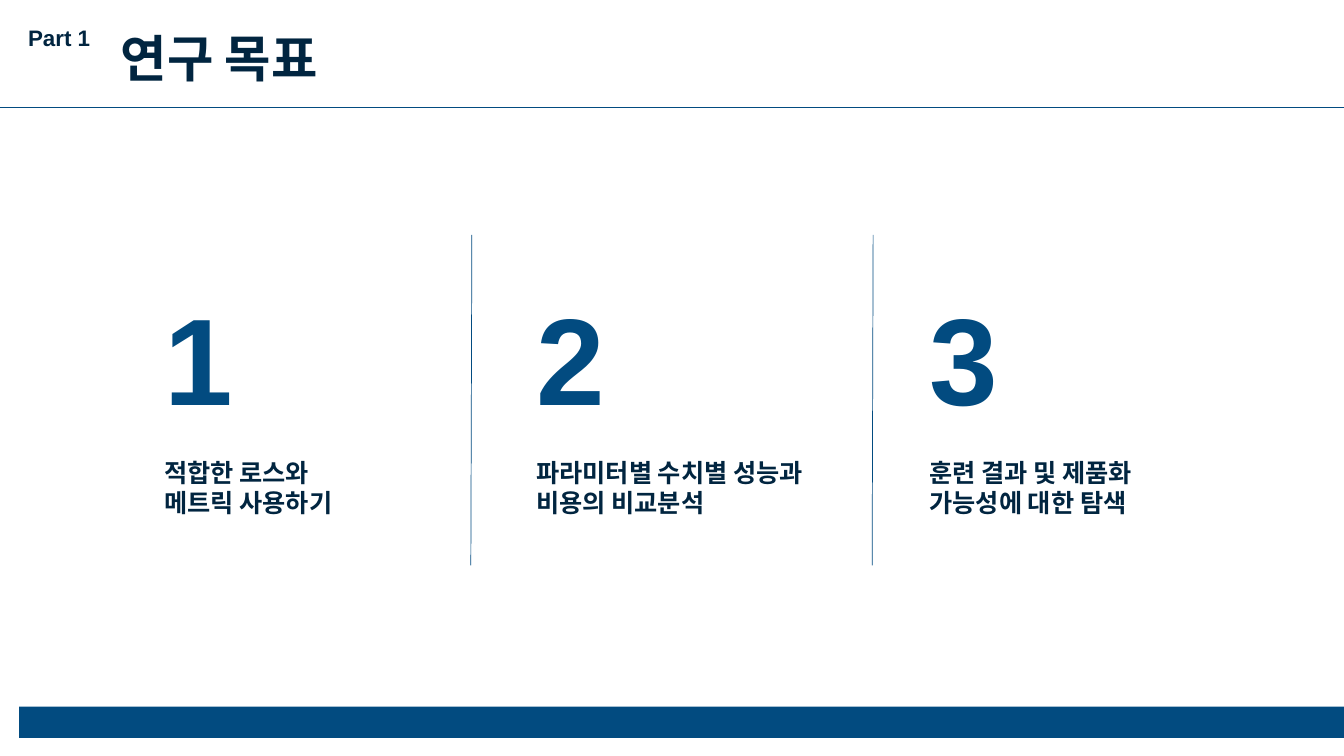
from dataclasses import dataclass

import lxml.etree
import pptx
import pptx.dml.color
import pptx.enum.shapes
import pptx.oxml.ns
import pptx.slide
import pptx.text.text
import pptx.util

Inches = pptx.util.Inches
Pt = pptx.util.Pt


@dataclass(frozen=True)
class Theme:
    blue: str = "024B80"
    navy: str = "012540"
    latin_font: str = "Arial"
    korean_font: str = "Noto Sans CJK KR"
    label_size: float = 16
    title_size: float = 36
    number_size: float = 88
    goal_size: float = 18
    line_width: float = 0.5


@dataclass(frozen=True)
class Goal:
    left: float
    width: float
    lines: tuple[str, ...]


THEME = Theme()
SLIDE_WIDTH = 13.33
GOAL_TOP, GOAL_HEIGHT = 2.63, 2.49
DIVIDER_TOP, DIVIDER_BOTTOM = 2.33, 5.61
DIVIDERS = (4.67, 8.65)
GOALS = (
    Goal(1.53, 2.89, ("적합한 로스와", "메트릭 사용하기")),
    Goal(5.22, 3.19, ("파라미터별 수치별 성능과", "비용의 비교분석")),
    Goal(9.12, 2.75, ("훈련 결과 및 제품화", "가능성에 대한 탐색")),
)


def add_text_frame(slide: pptx.slide.Slide, left: float, top: float, width: float,
                   height: float, top_margin: float = 0.05) -> pptx.text.text.TextFrame:
    box = slide.shapes.add_textbox(Inches(left), Inches(top), Inches(width), Inches(height))
    box.text_frame.word_wrap = True
    box.text_frame.margin_top = Inches(top_margin)
    return box.text_frame


def add_bold_run(paragraph, text: str, size: float, font: str, color: str) -> None:
    """Add a bold run whose font also applies to East Asian letters."""
    run = paragraph.add_run()
    run.text = text
    run.font.size = Pt(size)
    run.font.bold = True
    run.font.name = font
    run.font.color.rgb = pptx.dml.color.RGBColor.from_string(color)
    east_asian = lxml.etree.SubElement(run.font._element, pptx.oxml.ns.qn("a:ea"))
    east_asian.set("typeface", font)


def add_line(slide: pptx.slide.Slide, start: tuple[float, float],
             end: tuple[float, float]) -> None:
    line = slide.shapes.add_connector(
        pptx.enum.shapes.MSO_CONNECTOR.STRAIGHT, *map(Inches, start + end))
    line.line.color.rgb = pptx.dml.color.RGBColor.from_string(THEME.blue)
    line.line.width = Pt(THEME.line_width)
    lxml.etree.SubElement(line._element.spPr, pptx.oxml.ns.qn("a:effectLst"))


def add_footer_bar(slide: pptx.slide.Slide) -> None:
    bar = slide.shapes.add_shape(
        pptx.enum.shapes.MSO_SHAPE.RECTANGLE,
        Inches(0.19), Inches(7.01), Inches(13.14), Inches(0.31))
    bar.shadow.inherit = False
    bar.fill.solid()
    bar.fill.fore_color.rgb = pptx.dml.color.RGBColor.from_string(THEME.blue)
    bar.line.fill.background()


def add_header(slide: pptx.slide.Slide) -> None:
    add_line(slide, (0, 1.07), (SLIDE_WIDTH, 1.07))
    label = add_text_frame(slide, 0.18, 0.17, 0.92, 0.37, top_margin=0.07)
    add_bold_run(label.paragraphs[0], "Part 1", THEME.label_size,
                 THEME.latin_font, THEME.navy)
    title = add_text_frame(slide, 1.1, 0.19, 8.43, 0.71, top_margin=0.07)
    title.paragraphs[0].line_spacing = Pt(44)
    add_bold_run(title.paragraphs[0], "연구 목표", THEME.title_size,
                 THEME.korean_font, THEME.navy)


def add_goal(slide: pptx.slide.Slide, number: int, goal: Goal) -> None:
    frame = add_text_frame(slide, goal.left, GOAL_TOP, goal.width, GOAL_HEIGHT,
                           top_margin=0.17)
    add_bold_run(frame.paragraphs[0], str(number), THEME.number_size,
                 THEME.latin_font, THEME.blue)
    for index, text in enumerate(goal.lines):
        paragraph = frame.add_paragraph()
        paragraph.line_spacing = Pt(21.5)
        paragraph.space_before = Pt(0 if index else 19.5)
        add_bold_run(paragraph, text, THEME.goal_size, THEME.korean_font, THEME.navy)


def main() -> None:
    presentation = pptx.Presentation()
    presentation.slide_width = Inches(SLIDE_WIDTH)
    presentation.slide_height = Inches(7.5)
    slide = presentation.slides.add_slide(presentation.slide_layouts[6])
    add_footer_bar(slide)
    add_header(slide)
    for number, goal in enumerate(GOALS, start=1):
        add_goal(slide, number, goal)
    for left in DIVIDERS:
        add_line(slide, (left, DIVIDER_BOTTOM), (left + 0.01, DIVIDER_TOP))
    presentation.save("out.pptx")


if __name__ == "__main__":
    main()
